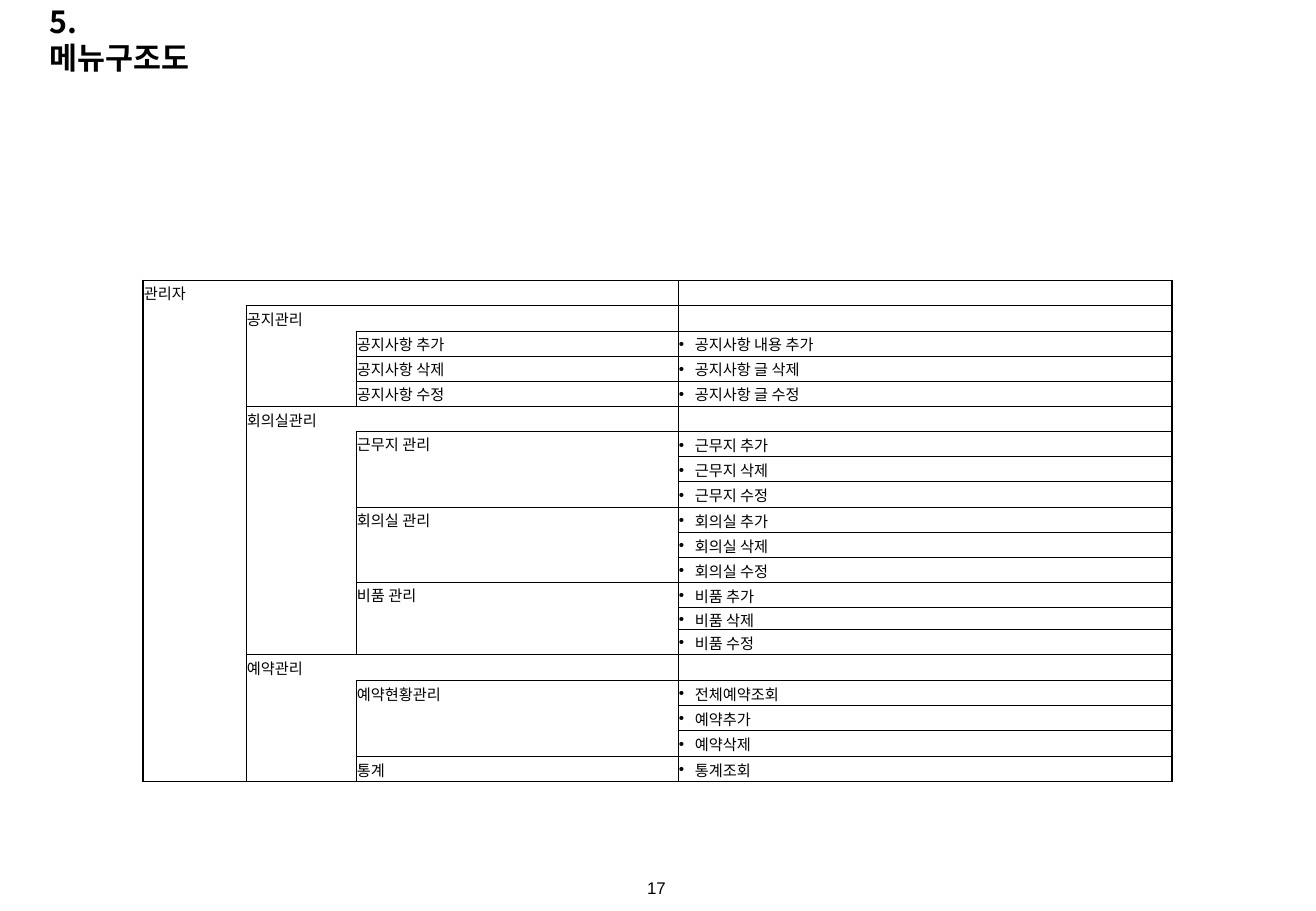
import itertools
import pptx
import pptx.dml.color
import pptx.enum.text
import pptx.oxml.ns
import pptx.util
from dataclasses import dataclass
from lxml import etree

PX = 7526  # EMU per px
qn = pptx.oxml.ns.qn
ANCHOR = pptx.enum.text.MSO_ANCHOR
ALIGN = pptx.enum.text.PP_ALIGN


@dataclass(frozen=True)
class Theme:
    ink: str = "000000"
    sans: str = "Noto Sans CJK KR"
    latin: str = "Arial"
    title: int = 18
    page: int = 10
    body: int = 9
    thin: float = 0.5
    bold: float = 1


# level, label, notes beside it
MENU = [
    (0, "관리자", [""]),
    (1, "공지관리", [""]),
    (2, "공지사항 추가", ["공지사항 내용 추가"]),
    (2, "공지사항 삭제", ["공지사항 글 삭제"]),
    (2, "공지사항 수정", ["공지사항 글 수정"]),
    (1, "회의실관리", [""]),
    (2, "근무지 관리", ["근무지 추가", "근무지 삭제", "근무지 수정"]),
    (2, "회의실 관리", ["회의실 추가", "회의실 삭제", "회의실 수정"]),
    (2, "비품 관리", ["비품 추가", "비품 삭제", "비품 수정"]),
    (1, "예약관리", [""]),
    (2, "예약현황관리", ["전체예약조회", "예약추가", "예약삭제"]),
    (2, "통계", ["통계조회"]),
]
MERGED = {"근무지 관리", "회의실 관리", "비품 관리"}
COLS = [143, 246, 356, 525, 678, 1172]
ROWS = [280, 305, 331, 356, 381, 407, 432, 457, 482, 508, 533,
        558, 583, 608, 630, 655, 681, 706, 731, 757, 782]
LAST = len(COLS) - 2


def gaps(edges):
    return [b - a for a, b in itertools.pairwise(edges)]


class Deck:
    def __init__(self, theme, width, height):
        self.theme = theme
        self.prs = pptx.Presentation()
        self.prs.slide_width = width * PX
        self.prs.slide_height = height * PX
        self.slide = self.prs.slides.add_slide(self.prs.slide_layouts[6])

    def style(self, para, size, face, bold=False):
        font = para.font
        font.size = pptx.util.Pt(size)
        font.bold = bold
        font.name = face
        font.color.rgb = pptx.dml.color.RGBColor.from_string(self.theme.ink)
        props = para._p.pPr.find(qn("a:defRPr"))
        etree.SubElement(props, qn("a:ea"), typeface=face)
        if not para.text:
            etree.SubElement(para._p, qn("a:endParaRPr"), sz=str(size * 100))

    def text(self, words, left, top, width, height, size, face,
             bold=False, align=ALIGN.LEFT):
        box = self.slide.shapes.add_textbox(
            left * PX, top * PX, width * PX, height * PX)
        frame = box.text_frame
        frame.word_wrap = True
        frame.vertical_anchor = ANCHOR.MIDDLE
        para = frame.paragraphs[0]
        para.text = words
        para.alignment = align
        self.style(para, size, face, bold)

    def bullet(self, para):
        props = para._p.get_or_add_pPr()
        props.set("marL", str(16 * PX))
        props.set("indent", str(-16 * PX))
        etree.SubElement(props, qn("a:buFont"), typeface=self.theme.latin)
        etree.SubElement(props, qn("a:buChar"), char="•")

    def border(self, cell, sides):
        """Draw each side at its width in points; 0 means no line."""
        props = cell._tc.get_or_add_tcPr()
        for side, width in zip("LRTB", sides):
            line = etree.SubElement(props, qn("a:ln" + side),
                                    w=str(pptx.util.Pt(width)))
            if width:
                fill = etree.SubElement(line, qn("a:solidFill"))
                etree.SubElement(fill, qn("a:srgbClr"), val=self.theme.ink)
            else:
                etree.SubElement(line, qn("a:noFill"))

    def cell(self, cell, words, sides, noted):
        cell.margin_left = cell.margin_right = cell.margin_top = PX
        cell.margin_bottom = 0
        top = cell.is_merge_origin
        cell.vertical_anchor = ANCHOR.TOP if top else ANCHOR.MIDDLE
        para = cell.text_frame.paragraphs[0]
        para.text = words
        if noted and words:
            self.bullet(para)
        self.style(para, self.theme.body, self.theme.sans)
        self.border(cell, sides)
        cell.fill.background()

    def sides(self, levels, row, col):
        """Lines run left of each level's column and above each new entry."""
        thin, bold = self.theme.thin, self.theme.bold

        def left(at):
            return thin if at <= min(levels[row], 2) or at == LAST else 0

        end = row == len(levels) - 1
        below = bold if end else thin * (col >= levels[row + 1])
        return (bold if col == 0 else left(col),
                bold if col == LAST else left(col + 1),
                thin * (col >= levels[row]), below)

    def tree(self, menu, cols, rows):
        shape = self.slide.shapes.add_table(
            len(rows) - 1, len(cols) - 1, cols[0] * PX, rows[0] * PX,
            (cols[-1] - cols[0]) * PX, (rows[-1] - rows[0]) * PX)
        table = shape.table
        table.first_row = table.horz_banding = False
        for col, width in zip(table.columns, gaps(cols)):
            col.width = width * PX
        for row, height in zip(table.rows, gaps(rows)):
            row.height = height * PX
        levels, words = [], {}
        for level, label, notes in menu:
            start = len(levels)
            words[start, level] = label
            for row, note in enumerate(notes, start):
                words[row, LAST] = note
            levels += [level] + [LAST] * (len(notes) - 1)
            if label in MERGED:
                end = table.cell(len(levels) - 1, 3)
                table.cell(start, level).merge(end)
        for row, col in itertools.product(range(len(levels)), range(LAST + 1)):
            cell = table.cell(row, col)
            sides = self.sides(levels, row, col)
            if cell.is_merge_origin:
                sides = (self.theme.thin,) * 4
            self.cell(cell, words.get((row, col), ""), sides, col == LAST)


def main():
    theme = Theme()
    deck = Deck(theme, 1316, 911)
    deck.text("17", 634, 871, 45, 33, theme.page, theme.latin,
              align=ALIGN.CENTER)
    deck.text("5. 메뉴구조도", 38, 15, 188, 49, theme.title, theme.sans,
              bold=True)
    deck.tree(MENU, COLS, ROWS)
    deck.prs.save("out.pptx")


if __name__ == "__main__":
    main()
